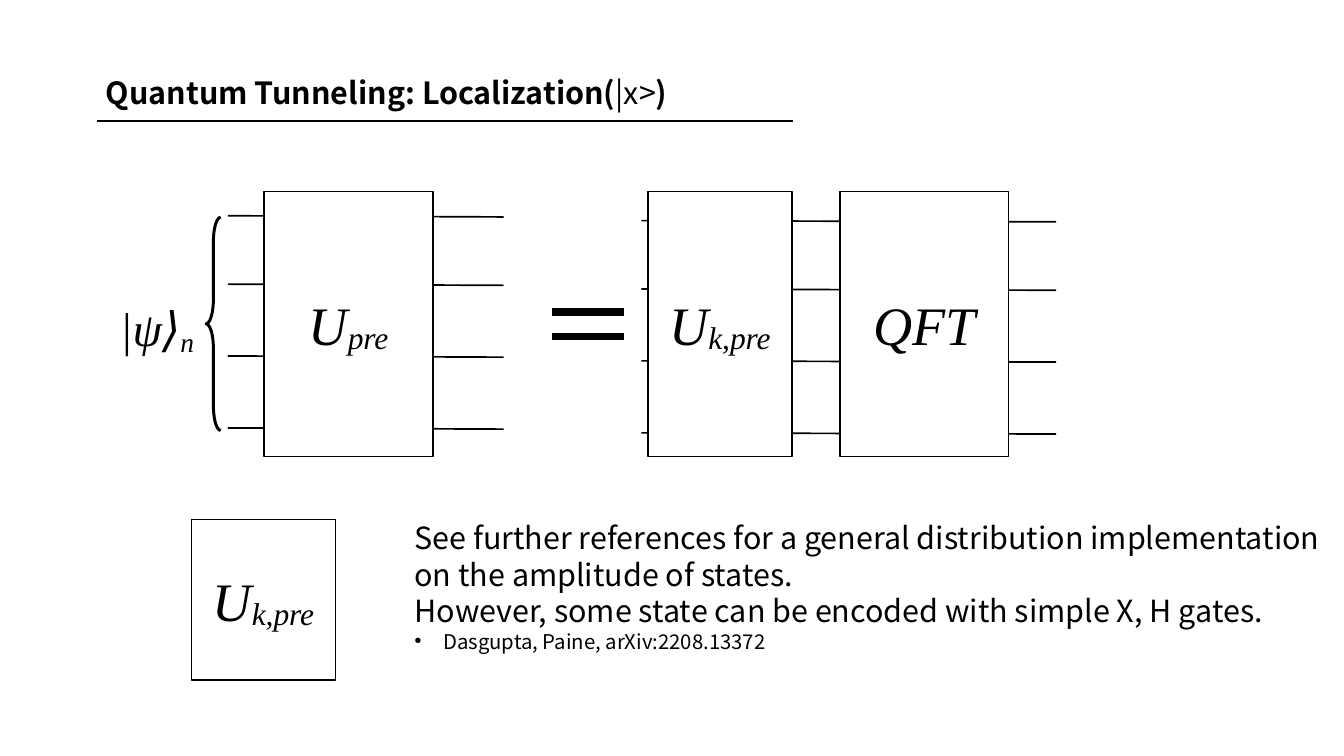
from dataclasses import dataclass

import lxml.etree
import pptx
import pptx.dml.color
import pptx.enum.shapes
import pptx.enum.text
import pptx.oxml.ns
import pptx.util

Pt = pptx.util.Pt
qn = pptx.oxml.ns.qn
BLACK, WHITE = "000000", "FFFFFF"
SANS, SERIF = "Noto Sans CJK KR", "Times New Roman"
GATE_TOP, GATE_HEIGHT = 113, 156.5


@dataclass
class Gate:
    left: float
    width: float
    symbol: str
    subscript: str = ""
    top: float = GATE_TOP
    height: float = GATE_HEIGHT


@dataclass
class WireBundle:
    start: float
    end: float
    heights: tuple[float, ...]


@dataclass
class Span:
    text: str
    size: float = 18
    bold: bool = False
    italic: bool = False
    font: str = SANS
    baseline: int = 0


def colour(hex_code: str) -> pptx.dml.color.RGBColor:
    return pptx.dml.color.RGBColor.from_string(hex_code)


def write_spans(paragraph, spans: list[Span]) -> None:
    for span in spans:
        run = paragraph.add_run()
        run.text = span.text
        run.font.size = Pt(span.size)
        run.font.name = span.font
        run.font.bold = span.bold
        run.font.italic = span.italic
        run.font.color.rgb = colour(BLACK)
        if span.baseline:
            run.font._element.set("baseline", str(span.baseline * 1000))


def symbol_spans(symbol: str, subscript: str, size: float, drop: int) -> list[Span]:
    spans = [Span(symbol, size, italic=True, font=SERIF)]
    if subscript:
        spans.append(Span(subscript, size, italic=True, font=SERIF, baseline=drop))
    return spans


def draw_line(slide, start: tuple[float, float], end: tuple[float, float], weight: float = 1) -> None:
    line = slide.shapes.add_connector(
        pptx.enum.shapes.MSO_CONNECTOR.STRAIGHT, *map(Pt, start + end))
    line.line.color.rgb = colour(BLACK)
    line.line.width = Pt(weight)
    lxml.etree.SubElement(line._element.spPr, qn("a:effectLst"))


def draw_wires(slide, bundle: WireBundle) -> None:
    for height in bundle.heights:
        draw_line(slide, (bundle.start, height), (bundle.end, height + 0.7))


def draw_gate(slide, gate: Gate) -> None:
    box = slide.shapes.add_shape(
        pptx.enum.shapes.MSO_SHAPE.RECTANGLE,
        Pt(gate.left), Pt(gate.top), Pt(gate.width), Pt(gate.height))
    box.shadow.inherit = False
    box.fill.solid()
    box.fill.fore_color.rgb = colour(WHITE)
    box.line.color.rgb = colour(BLACK)
    box.line.width = Pt(1)
    frame = box.text_frame
    frame.margin_left = frame.margin_right = Pt(8)
    frame.margin_top = frame.margin_bottom = Pt(4.5)
    frame.vertical_anchor = pptx.enum.text.MSO_ANCHOR.MIDDLE
    frame.paragraphs[0].alignment = pptx.enum.text.PP_ALIGN.CENTER
    write_spans(frame.paragraphs[0], symbol_spans(gate.symbol, gate.subscript, 32, -8))


def draw_brace(slide, left: float, top: float, width: float, height: float) -> None:
    brace = slide.shapes.add_shape(
        pptx.enum.shapes.MSO_SHAPE.LEFT_BRACE, Pt(left), Pt(top), Pt(width), Pt(height))
    brace.shadow.inherit = False
    brace.adjustments[0] = 1.7
    brace.fill.background()
    brace.line.color.rgb = colour(BLACK)
    brace.line.width = Pt(1.75)


def add_text(slide, left: float, top: float, width: float, height: float,
             lines: list[list[Span]]):
    """Write one paragraph per line of spans and return the text frame."""
    frame = slide.shapes.add_textbox(Pt(left), Pt(top), Pt(width), Pt(height)).text_frame
    frame.word_wrap = False
    for index, spans in enumerate(lines):
        paragraph = frame.add_paragraph() if index else frame.paragraphs[0]
        write_spans(paragraph, spans)
    return frame


def add_bullet(paragraph) -> None:
    properties = paragraph._p.get_or_add_pPr()
    indent = Pt(17)
    properties.set("marL", str(indent))
    properties.set("indent", str(-indent))
    bullet_colour = lxml.etree.SubElement(properties, qn("a:buClr"))
    lxml.etree.SubElement(bullet_colour, qn("a:srgbClr"), val=BLACK)
    lxml.etree.SubElement(properties, qn("a:buSzPct"), val="45000")
    lxml.etree.SubElement(properties, qn("a:buChar"), char="●")


def main() -> None:
    presentation = pptx.Presentation()
    presentation.slide_width, presentation.slide_height = Pt(793.44), Pt(446.4)
    slide = presentation.slides.add_slide(presentation.slide_layouts[6])

    input_wires = (127.4, 167.8, 210.2, 252.7)
    output_wires = tuple(height + 2.9 for height in input_wires)
    for bundle in (WireBundle(378.7, 623.5, output_wires),
                   WireBundle(134.6, 297.4, input_wires)):
        draw_wires(slide, bundle)

    add_text(slide, 63.5, 173, 60, 42, [symbol_spans("|ψ⟩", "n", 28, -12)])
    draw_brace(slide, 121.7, 128.2, 8.6, 126)

    for gate in (Gate(156, 99.5, "U", "pre"),
                 Gate(382.5, 85, "U", "k,pre"),
                 Gate(496, 99.5, "QFT"),
                 Gate(113, 85, "U", "k,pre", top=306.7, height=95)):
        draw_gate(slide, gate)

    for bar in (184.3, 198.7):
        draw_line(slide, (326, bar), (368.5, bar), 4.5)

    add_text(slide, 55.4, 40.3, 365.8, 31.7, [[
        Span("Quantum Tunneling: Localization(", bold=True),
        Span("|x>"),
        Span(")", bold=True)]])
    draw_line(slide, (57.3, 71.4), (468, 71.4))

    remarks = add_text(slide, 237.6, 303.1, 555, 97.2, [
        [Span("See further references for a general distribution implementation")],
        [Span("on the amplitude of states.")],
        [Span("However, some state can be encoded with simple X, H gates.")],
        [Span("Dasgupta, Paine, arXiv:2208.13372", 12)]])
    add_bullet(remarks.paragraphs[-1])

    presentation.save("out.pptx")


if __name__ == "__main__":
    main()
